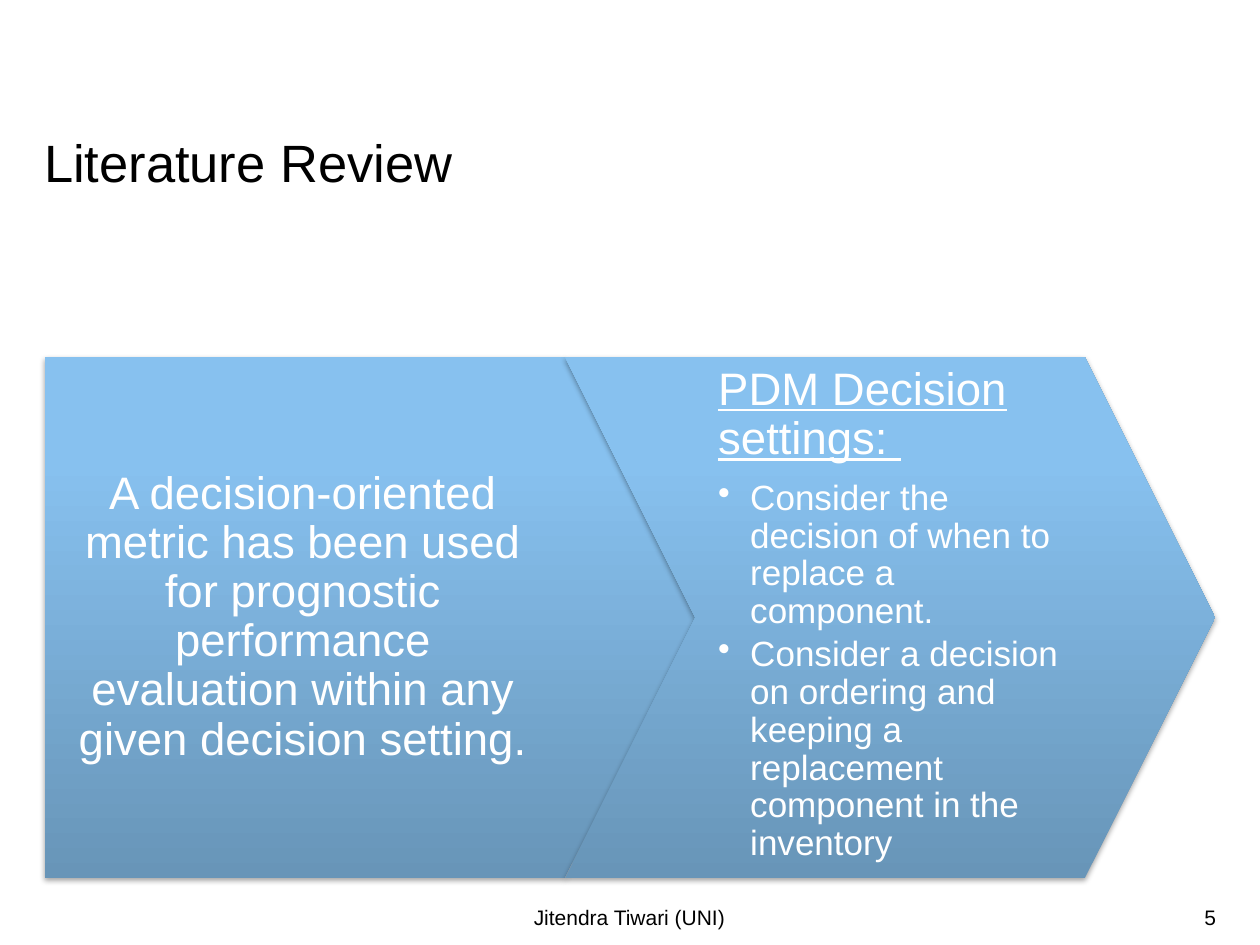
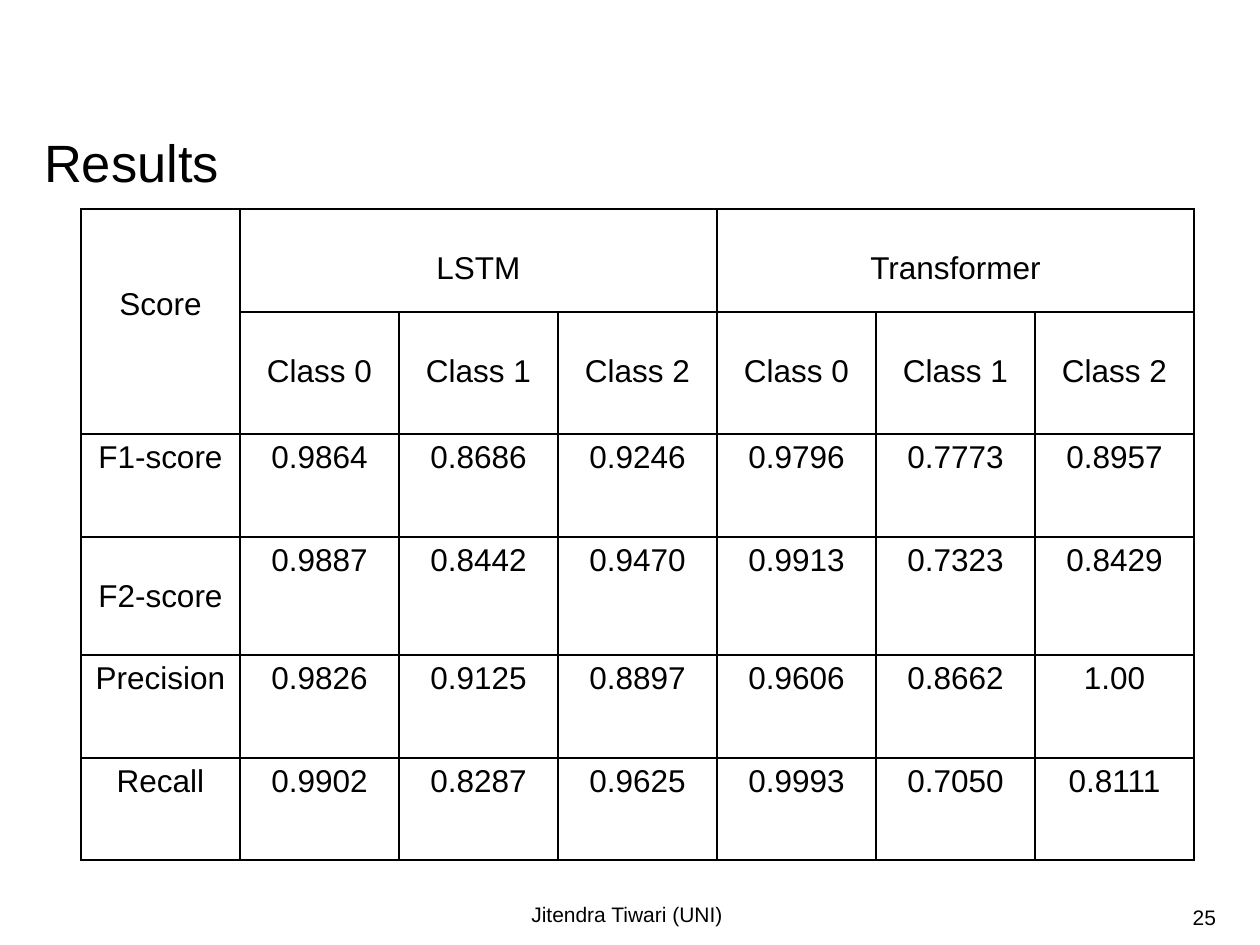
from collections import namedtuple

from lxml import etree
from pptx import Presentation
from pptx.dml.color import RGBColor
from pptx.enum.shapes import MSO_SHAPE
from pptx.enum.text import MSO_ANCHOR, PP_ALIGN
from pptx.oxml import parse_xml
from pptx.oxml.ns import nsdecls, qn
from pptx.util import Pt

LEFT, CENTER, RIGHT = PP_ALIGN.LEFT, PP_ALIGN.CENTER, PP_ALIGN.RIGHT
TOP, MIDDLE = MSO_ANCHOR.TOP, MSO_ANCHOR.MIDDLE
PENTAGON, CHEVRON = MSO_SHAPE.PENTAGON, MSO_SHAPE.CHEVRON

Box = namedtuple("Box", "left top width height")

# Shared look
FONT = "Arial"
BLACK, WHITE = "000000", "FFFFFF"
ARROW_STOPS = [(0, "6895B8"), (80, "87C1EF"), (100, "86C2F2")]
AUTHOR = "Jitendra Tiwari (UNI)"
SLIDE_WIDTH, SLIDE_HEIGHT = 1260, 945
TITLE_BOX = Box(44, 137, 1173, 57)
NUMBER_BOX = Box(934, 892, 282, 50)
TITLE_ONLY_LAYOUT = 5


def px(length):
    return round(length * 914400 / 126)


def emu_box(box):
    return [px(length) for length in box]


def color(hex_string):
    return RGBColor.from_string(hex_string)


def format_paragraph(paragraph, size, hex_color=BLACK, align=LEFT):
    paragraph.alignment = align
    font = paragraph.font
    font.name, font.size = FONT, Pt(size)
    font.color.rgb = color(hex_color)


def set_frame(frame, anchor, left=0, top=0, right=0, bottom=0):
    frame.word_wrap = True
    frame.vertical_anchor = anchor
    frame.margin_left, frame.margin_top = px(left), px(top)
    frame.margin_right, frame.margin_bottom = px(right), px(bottom)


# Title, footer and slide number
def add_small_text(slide, box, text, align):
    frame = slide.shapes.add_textbox(*emu_box(box)).text_frame
    set_frame(frame, MIDDLE, top=6, bottom=6)
    frame.text = text
    format_paragraph(frame.paragraphs[0], 12, align=align)


def add_base_slide(presentation, title_text, number, footer_box):
    slide = presentation.slides.add_slide(
        presentation.slide_layouts[TITLE_ONLY_LAYOUT])
    title = slide.shapes.title
    title.left, title.top, title.width, title.height = emu_box(TITLE_BOX)
    title.text = title_text
    set_frame(title.text_frame, TOP)
    paragraph = title.text_frame.paragraphs[0]
    format_paragraph(paragraph, 30)
    paragraph.line_spacing = Pt(32)
    add_small_text(slide, NUMBER_BOX, number, RIGHT)
    add_small_text(slide, footer_box, AUTHOR, CENTER)
    return slide


# Process arrows
def add_arrow(slide, preset, box):
    shape = slide.shapes.add_shape(preset, *emu_box(box))
    shape.adjustments[0] = 0.25
    shape.line.fill.background()
    shape.shadow.inherit = False
    properties = shape._element.spPr
    stops = "".join(
        f'<a:gs pos="{position * 1000}"><a:srgbClr val="{stop}"/></a:gs>'
        for position, stop in ARROW_STOPS)
    properties.find(qn("a:ln")).addprevious(parse_xml(
        f'<a:gradFill {nsdecls("a")} rotWithShape="1"><a:gsLst>{stops}</a:gsLst>'
        '<a:lin ang="16200000" scaled="0"/></a:gradFill>'))
    properties.find(qn("a:effectLst")).append(parse_xml(
        f'<a:outerShdw {nsdecls("a")} blurRad="{Pt(3.1)}" dist="{Pt(1.8)}" '
        f'dir="5400000" rotWithShape="0"><a:srgbClr val="{BLACK}">'
        '<a:alpha val="35000"/></a:srgbClr></a:outerShdw>'))
    return shape


def format_arrow_paragraph(paragraph, size, space_after, align=LEFT):
    format_paragraph(paragraph, size, WHITE, align)
    paragraph.line_spacing = 0.9
    paragraph.space_after = Pt(space_after)


def add_bullet(frame, text, indent=32):
    paragraph = frame.add_paragraph()
    paragraph.text = text
    paragraph.level = 1
    format_arrow_paragraph(paragraph, 20, 3)
    properties = paragraph._p.get_or_add_pPr()
    properties.set("marL", str(px(indent)))
    properties.set("indent", str(px(-indent)))
    etree.SubElement(properties, qn("a:buChar"), char="•")


def add_process(slide, box, statement, heading, bullets):
    # Each arrow overlaps the next by its point, a quarter of its height
    point = box.height // 4
    arrow_width = (box.width + point) // 2
    first_box = box._replace(width=arrow_width)
    second_box = first_box._replace(left=box.left + arrow_width - point)

    frame = add_arrow(slide, PENTAGON, first_box).text_frame
    set_frame(frame, MIDDLE, 23, 9, 92, 9)
    frame.text = statement
    format_arrow_paragraph(frame.paragraphs[0], 26, 9, CENTER)

    frame = add_arrow(slide, CHEVRON, second_box).text_frame
    set_frame(frame, TOP, 23, 9, 23, 9)
    frame.text = heading
    format_arrow_paragraph(frame.paragraphs[0], 26, 9)
    frame.paragraphs[0].font.underline = True
    for bullet in bullets:
        add_bullet(frame, bullet)


# Score table
def format_cell(cell, lines_above):
    cell.margin_top = px(6 + 36 * lines_above)
    format_paragraph(cell.text_frame.paragraphs[0], 18, align=CENTER)
    properties = cell._tc.get_or_add_tcPr()
    for side in ("lnL", "lnR", "lnT", "lnB"):
        properties.append(parse_xml(
            f'<a:{side} {nsdecls("a")} w="{Pt(1)}"><a:solidFill>'
            f'<a:srgbClr val="{BLACK}"/></a:solidFill></a:{side}>'))
    cell.fill.background()


def add_score_table(slide, box, models, classes, scores):
    class_count = len(classes)
    rows = [["Score"], [""] + classes * len(models)]
    for model in models:
        rows[0] += [model] + [""] * (class_count - 1)
    rows += [[name] + values.split() for name, values in scores]

    table = slide.shapes.add_table(len(rows), len(rows[0]), *emu_box(box)).table
    table.first_row = table.horz_banding = False
    for column in table.columns:
        column.width = px(box.width // len(rows[0]))
    for row, height in zip(table.rows, (103, 118, 103, 118, 103, 102)):
        row.height = px(height)

    for row_index, texts in enumerate(rows):
        for column_index, text in enumerate(texts):
            cell = table.cell(row_index, column_index)
            cell.text = text
            lines_above = 1 if row_index < 2 or text == "F2-score" else 0
            format_cell(cell, 2 if text == "Score" else lines_above)

    table.cell(0, 0).merge(table.cell(1, 0))
    for index in range(len(models)):
        first = 1 + index * class_count
        table.cell(0, first).merge(table.cell(0, first + class_count - 1))


def add_literature_slide(presentation):
    slide = add_base_slide(presentation, "Literature Review", "5",
                           Box(43, 892, 1173, 50))
    add_process(
        slide, Box(45, 357, 1171, 521),
        "A decision-oriented metric has been used for prognostic performance "
        "evaluation within any given decision setting.",
        "PDM Decision settings: ",
        ["Consider the decision of when to replace a component.",
         "Consider a decision on ordering and keeping a replacement component "
         "in the inventory"])


def add_results_slide(presentation):
    slide = add_base_slide(presentation, "Results", "25",
                           Box(44, 886, 1166, 57))
    add_score_table(
        slide, Box(81, 209, 1113, 647),
        ["LSTM", "Transformer"], ["Class 0", "Class 1", "Class 2"],
        [("F1-score", "0.9864 0.8686 0.9246 0.9796 0.7773 0.8957"),
         ("F2-score", "0.9887 0.8442 0.9470 0.9913 0.7323 0.8429"),
         ("Precision", "0.9826 0.9125 0.8897 0.9606 0.8662 1.00"),
         ("Recall", "0.9902 0.8287 0.9625 0.9993 0.7050 0.8111")])


def main():
    presentation = Presentation()
    presentation.slide_width = px(SLIDE_WIDTH)
    presentation.slide_height = px(SLIDE_HEIGHT)
    add_literature_slide(presentation)
    add_results_slide(presentation)
    presentation.save("out.pptx")


if __name__ == "__main__":
    main()
